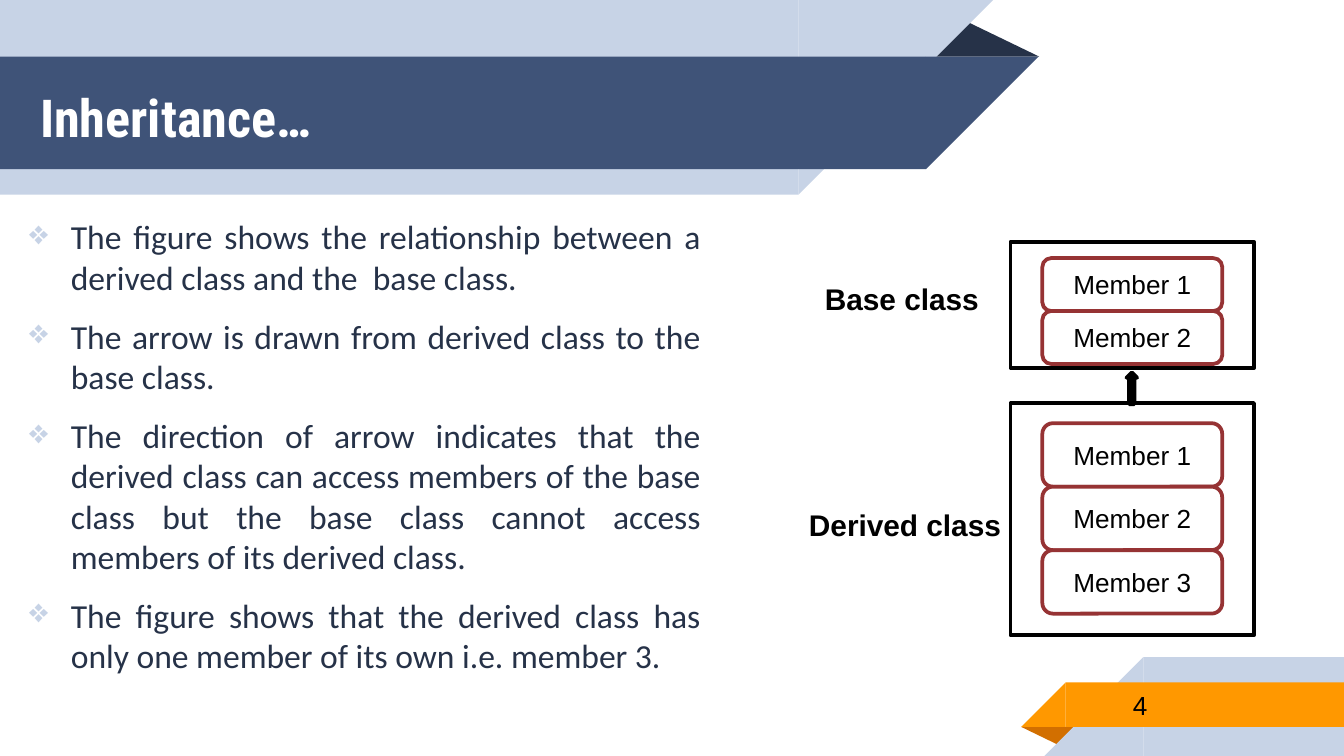
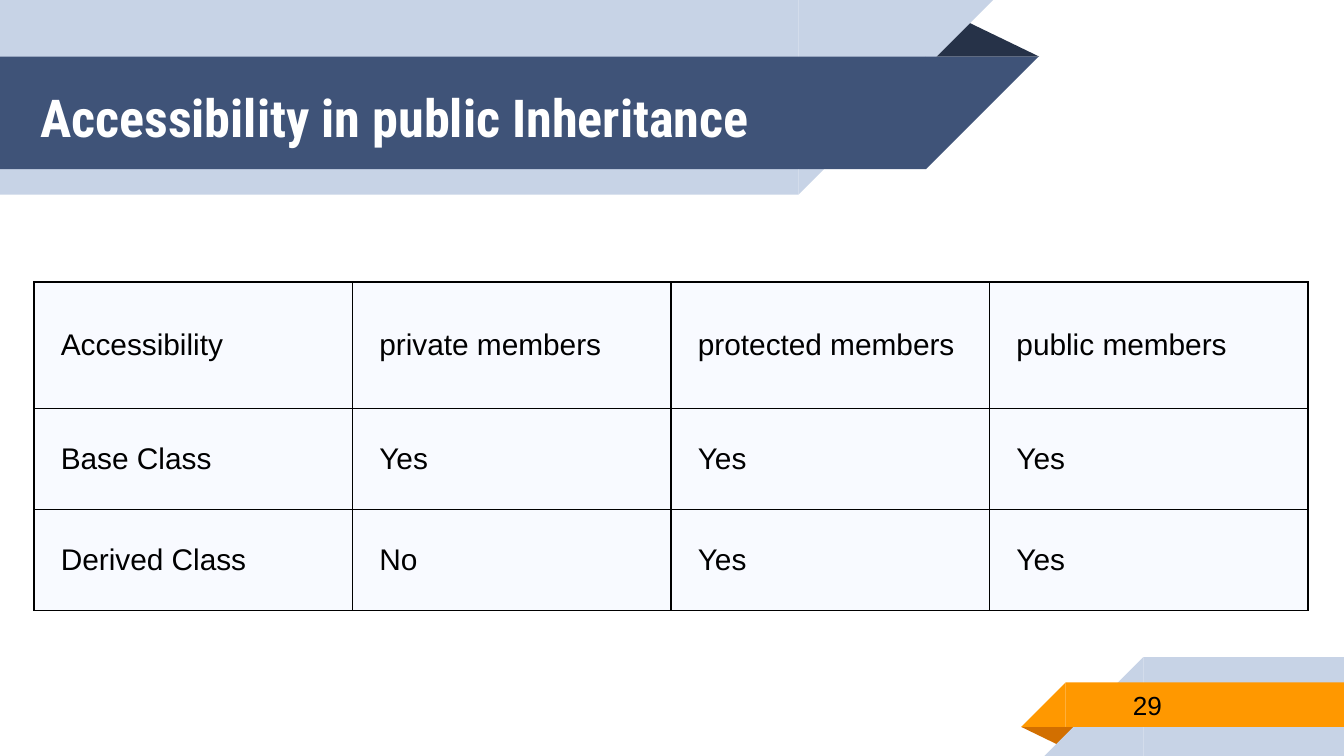
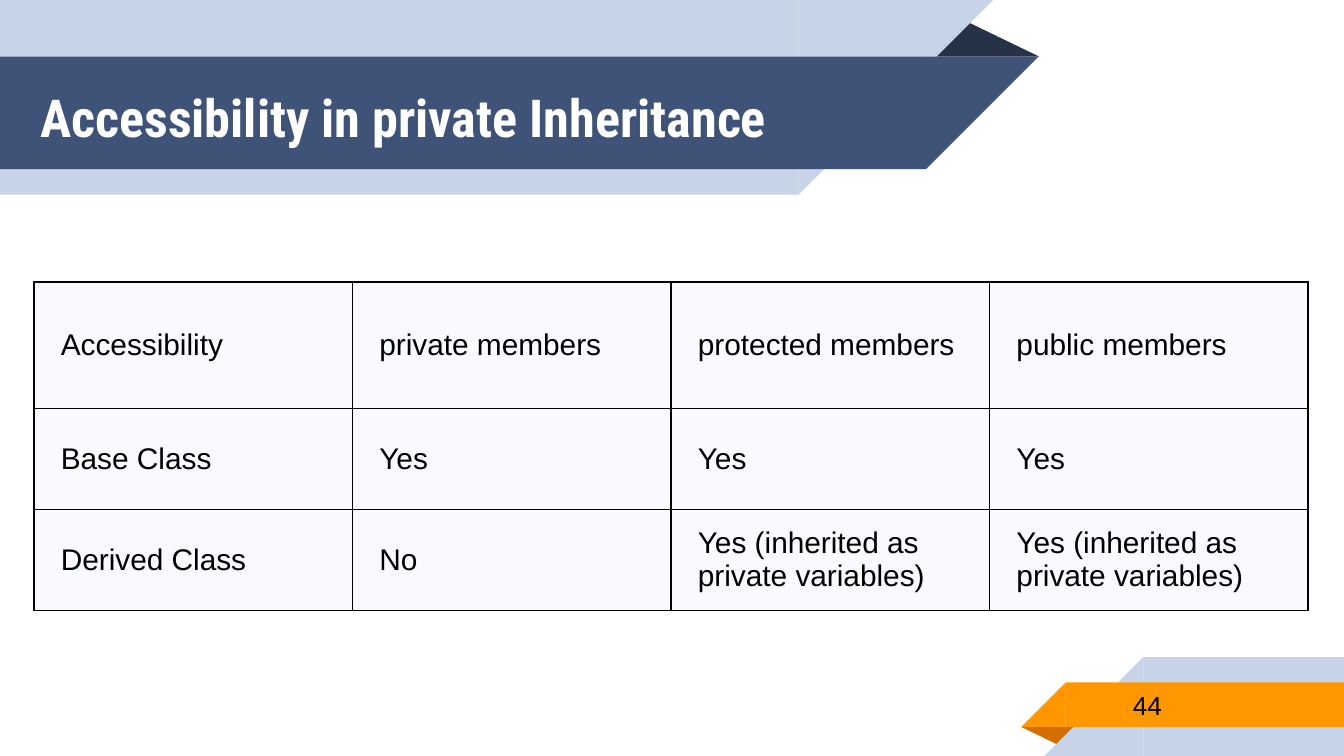
from lxml import etree
from pptx import Presentation
from pptx.dml.color import RGBColor
from pptx.enum.shapes import MSO_SHAPE as Shape
from pptx.enum.text import MSO_ANCHOR as Anchor, PP_ALIGN as Align
from pptx.oxml.ns import qn
from pptx.util import Cm, Pt

WIDE, HIGH = 25.4, 14.29
PALE, NAVY, DARK = "C7D3E6", "3F5378", "263248"
ORANGE, RUST, RED = "FF9800", "D26F00", "963334"
WHITE, BLACK, ICE = "FFFFFF", "000000", "F8FAFF"

POINTS = [
    "The figure shows the relationship between a derived class and the  base class.",
    "The arrow is drawn from derived class to the base class.",
    "The direction of arrow indicates that the derived class can access members "
    "of the base class but the base class cannot access members of its derived class.",
    "The figure shows that the derived class has only one member of its own "
    "i.e. member 3.",
]
HEADS = ["Accessibility", "private members", "protected members", "public members"]
BASE = ["Base Class", "Yes", "Yes", "Yes"]
HIDDEN = "Yes (inherited as private variables)"


def paint(color, hue):
    color.rgb = RGBColor.from_string(hue)


def fill(part, hue):
    part.fill.solid()
    paint(part.fill.fore_color, hue)


def write(para, text, size, hue=BLACK, face="Arial", bold=False):
    run = para.add_run()
    run.text = text
    run.font.size = Pt(size)
    run.font.name = face
    run.font.bold = bold
    paint(run.font.color, hue)


def draw(slide, kind, box, hue, edge=None, turn=0):
    """Add a preset shape; box is left, top, width, height in cm."""
    shape = slide.shapes.add_shape(kind, *map(Cm, box))
    shape.shadow.inherit = False
    shape.rotation = turn
    fill(shape, hue)
    if edge:
        paint(shape.line.color, edge)
        shape.line.width = Pt(2)
    else:
        shape.line.fill.background()
    return shape


def add_text(slide, box, inset=0.25, anchor=Anchor.TOP, wrap=True):
    frame = slide.shapes.add_textbox(*map(Cm, box)).text_frame
    frame.word_wrap = wrap
    frame.vertical_anchor = anchor
    frame.margin_left = frame.margin_right = Cm(0.25)
    frame.margin_top = frame.margin_bottom = Cm(inset)
    return frame


def add_band(slide, top, end, high, hue):
    """Band from the left edge with a slanted right end."""
    draw(slide, Shape.RECTANGLE, (0, top, end, high), hue)
    draw(slide, Shape.RIGHT_TRIANGLE, (end, top, high, high), hue, turn=90)


def add_tab(slide, left, top, high, hue):
    """Band to the right edge with a slanted left end."""
    start = left + high
    draw(slide, Shape.RECTANGLE, (start, top, WIDE - start, high), hue)
    draw(slide, Shape.RIGHT_TRIANGLE, (left, top, high, high), hue, turn=270)


def add_fold(slide, box, hue, turn=0):
    fold = draw(slide, Shape.ISOSCELES_TRIANGLE, box, hue, turn=turn)
    fold.adjustments[0] = 0.32


def add_slide(deck, title, number):
    slide = deck.slides.add_slide(deck.slide_layouts[6])
    add_fold(slide, (17.48, 0.36, 2.16, 0.71), DARK)
    add_band(slide, 0, 15.09, 3.68, PALE)
    add_band(slide, 1.07, 17.5, 2.13, NAVY)
    add_fold(slide, (19.3, 13.74, 1.09, 0.36), RUST, turn=180)
    add_tab(slide, 19.74, 12.42, HIGH - 12.42, PALE)
    add_tab(slide, 19.3, 12.9, 0.84, ORANGE)
    head = add_text(slide, (0.51, 1.14, 16, 2.13), anchor=Anchor.MIDDLE)
    write(head.paragraphs[0], title, 28, WHITE, "Roboto Condensed", True)
    foot = add_text(slide, (21.16, 12.88, 4.14, 0.89), anchor=Anchor.MIDDLE)
    write(foot.paragraphs[0], str(number), 14)
    return slide


def set_bullet(para):
    props = para._p.get_or_add_pPr()
    props.set("marL", str(Cm(0.79)))
    props.set("indent", str(-Cm(0.79)))
    tint = etree.SubElement(props, qn("a:buClr"))
    etree.SubElement(tint, qn("a:srgbClr"), val=PALE)
    etree.SubElement(props, qn("a:buChar"), char="❖")


def add_points(slide, points):
    frame = add_text(slide, (0.3, 3.84, 13.2, 10.31))
    for i, text in enumerate(points):
        para = frame.add_paragraph() if i else frame.paragraphs[0]
        para.alignment = Align.JUSTIFY
        para.space_after = Pt(10)
        set_bullet(para)
        write(para, text, 18, DARK, "Calibri")


def add_class(slide, top, high, first, step, count):
    """Framed stack of members, the first one at the given height."""
    draw(slide, Shape.RECTANGLE, (19.1, top, 4.6, high), WHITE, BLACK)
    for i in range(count):
        box = (19.7, first + i * step, 3.4, step)
        member = draw(slide, Shape.ROUNDED_RECTANGLE, box, WHITE, RED)
        frame = member.text_frame
        frame.vertical_anchor = Anchor.MIDDLE
        para = frame.paragraphs[0]
        para.alignment = Align.CENTER
        write(para, f"Member {i + 1}", 14)


def add_label(slide, box, text):
    frame = add_text(slide, box, inset=0.13, wrap=False)
    write(frame.paragraphs[0], text, 16, bold=True)


def set_border(cell):
    props = cell._tc.get_or_add_tcPr()
    for side in ("lnL", "lnR", "lnT", "lnB"):
        line = etree.SubElement(props, qn(f"a:{side}"), w=str(Pt(1)))
        ink = etree.SubElement(line, qn("a:solidFill"))
        etree.SubElement(ink, qn("a:srgbClr"), val=BLACK)


def add_grid(slide, rows):
    box = (0.64, 5.33, 24.08, 6.21)
    table = slide.shapes.add_table(len(rows), len(rows[0]), *map(Cm, box)).table
    table.first_row = table.horz_banding = False
    for col in table.columns:
        col.width = Cm(6.02)
    for row, high in zip(table.rows, (2.39, 1.91, 1.91)):
        row.height = Cm(high)
    for r, texts in enumerate(rows):
        for c, text in enumerate(texts):
            cell = table.cell(r, c)
            set_border(cell)
            fill(cell, ICE)
            cell.vertical_anchor = Anchor.MIDDLE
            cell.margin_left = cell.margin_right = Cm(0.51)
            cell.margin_top = cell.margin_bottom = Cm(0.25)
            write(cell.text_frame.paragraphs[0], text, 16)


def main():
    deck = Presentation()
    deck.slide_width, deck.slide_height = Cm(WIDE), Cm(HIGH)

    slide = add_slide(deck, "Inheritance…", 4)
    add_points(slide, POINTS)
    add_class(slide, top=4.57, high=2.39, first=4.88, step=1, count=2)
    add_class(slide, top=7.62, high=4.39, first=8, step=1.2, count=3)
    draw(slide, Shape.UP_ARROW, (21.29, 7.04, 0.2, 0.6), BLACK, BLACK)
    add_label(slide, (15.34, 5.18, 3.45, 0.94), "Base class")
    add_label(slide, (15.04, 9.45, 4.19, 0.94), "Derived class")

    for kind, number, access in (("public", 29, "Yes"), ("private", 44, HIDDEN)):
        slide = add_slide(deck, f"Accessibility in {kind} Inheritance", number)
        add_grid(slide, [HEADS, BASE, ["Derived Class", "No", access, access]])

    deck.save("out.pptx")


if __name__ == "__main__":
    main()
